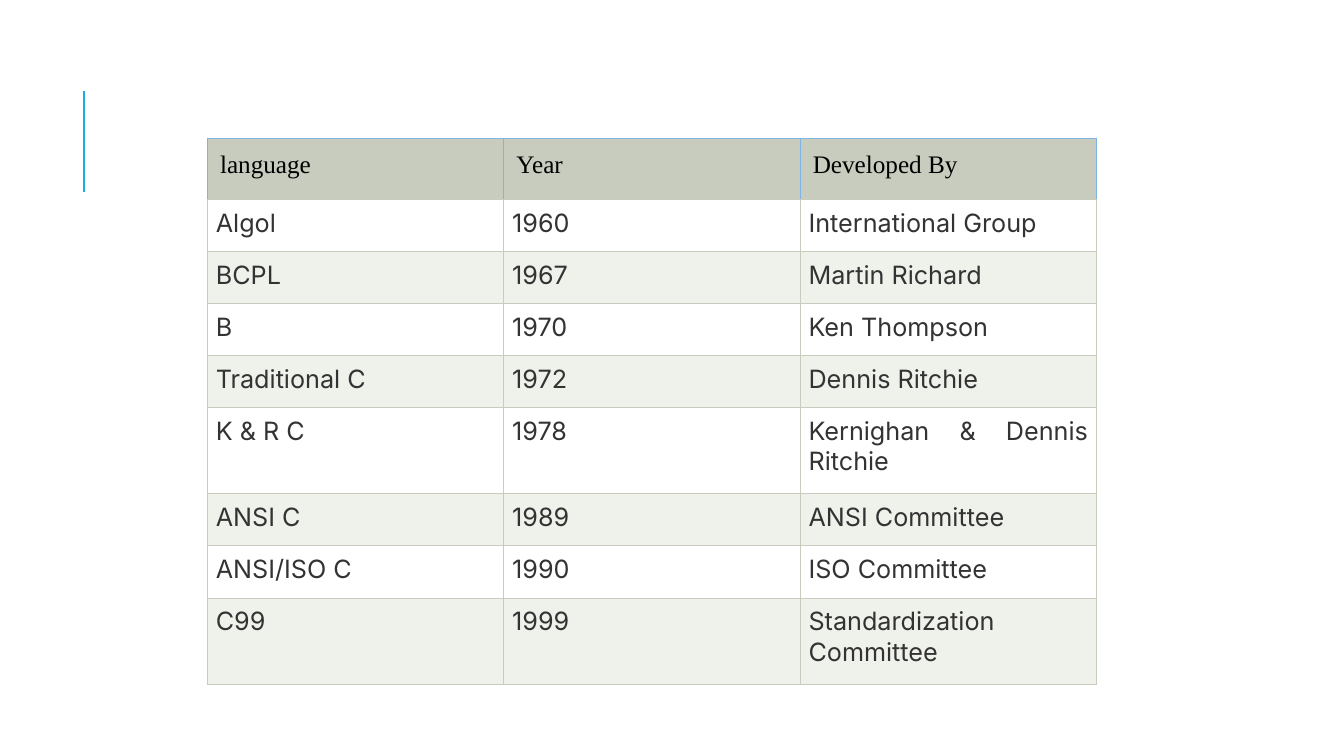
from lxml import etree
from pptx import Presentation
from pptx.dml.color import RGBColor
from pptx.enum.shapes import MSO_CONNECTOR
from pptx.enum.text import PP_ALIGN
from pptx.oxml.ns import qn
from pptx.util import Pt

STRAIGHT = MSO_CONNECTOR.STRAIGHT
LEFT, JUSTIFY = PP_ALIGN.LEFT, PP_ALIGN.JUSTIFY

ACCENT = RGBColor(0x1C, 0xAD, 0xE4)
HEADER_FILL = RGBColor(0xC7, 0xCC, 0xBE)
HEADER_EDGE = RGBColor(0x80, 0xB4, 0xE2)
BAND = RGBColor(0xEF, 0xF1, 0xEB)
WHITE = RGBColor(0xFF, 0xFF, 0xFF)
BLACK = RGBColor(0x00, 0x00, 0x00)
BODY_TEXT = RGBColor(0x33, 0x33, 0x33)

ROWS = [
    ("language", "Year", "Developed By"),
    ("Algol", "1960", "International Group"),
    ("BCPL", "1967", "Martin Richard"),
    ("B", "1970", "Ken Thompson"),
    ("Traditional C", "1972", "Dennis Ritchie"),
    ("K & R C", "1978", "Kernighan & Dennis Ritchie"),
    ("ANSI C", "1989", "ANSI Committee"),
    ("ANSI/ISO C", "1990", "ISO Committee"),
    ("C99", "1999", "Standardization Committee"),
]
HEADER_H, ROW_H, TALL_H = 43.7, 37.2, 61.6
ROW_HEIGHTS = [HEADER_H] + [ROW_H] * 4 + [TALL_H] + [ROW_H] * 2 + [TALL_H]
COL_W = 211.7


def set_borders(cell, side_color, bottom_color):
    """Draw thin cell borders; call before the cell is filled."""
    tc_pr = cell._tc.get_or_add_tcPr()
    for tag in ("lnL", "lnR", "lnT", "lnB"):
        color = bottom_color if tag == "lnB" else side_color
        ln = etree.SubElement(tc_pr, qn(f"a:{tag}"), w=str(Pt(0.75)))
        fill = etree.SubElement(ln, qn("a:solidFill"))
        etree.SubElement(fill, qn("a:srgbClr"), val=str(color))


prs = Presentation()
prs.slide_width, prs.slide_height = Pt(960), Pt(540)
s = prs.slides.add_slide(prs.slide_layouts[6])

# Accent line
rule = s.shapes.add_connector(STRAIGHT, Pt(60), Pt(136.8), Pt(60), Pt(64.8))
rule.line.color.rgb = ACCENT
rule.line.width = Pt(1.5)
etree.SubElement(rule._element.spPr, qn("a:effectLst"))

# Table of languages
frame = s.shapes.add_table(len(ROWS), len(ROWS[0]), Pt(148.2), Pt(98.7),
                           Pt(COL_W * len(ROWS[0])), Pt(sum(ROW_HEIGHTS)))
table = frame.table
for column in table.columns:
    column.width = Pt(COL_W)
for i, (texts, height) in enumerate(zip(ROWS, ROW_HEIGHTS)):
    table.rows[i].height = Pt(height)
    if i == 0:
        font, color, fill, edge = "Times New Roman", BLACK, HEADER_FILL, HEADER_EDGE
        align, inset = LEFT, Pt(9)
    else:
        font, color, edge = "Inter", BODY_TEXT, HEADER_FILL
        fill = WHITE if i % 2 else BAND
        align, inset = JUSTIFY, Pt(6)
    for j, text in enumerate(texts):
        cell = table.cell(i, j)
        set_borders(cell, edge, HEADER_FILL)
        cell.fill.solid()
        cell.fill.fore_color.rgb = fill
        cell.margin_left = cell.margin_right = inset
        cell.margin_top = cell.margin_bottom = inset
        p = cell.text_frame.paragraphs[0]
        p.alignment = align
        r = p.add_run()
        r.text = text
        r.font.name = font
        r.font.size = Pt(18)
        r.font.bold = False
        r.font.color.rgb = color

prs.save("out.pptx")
